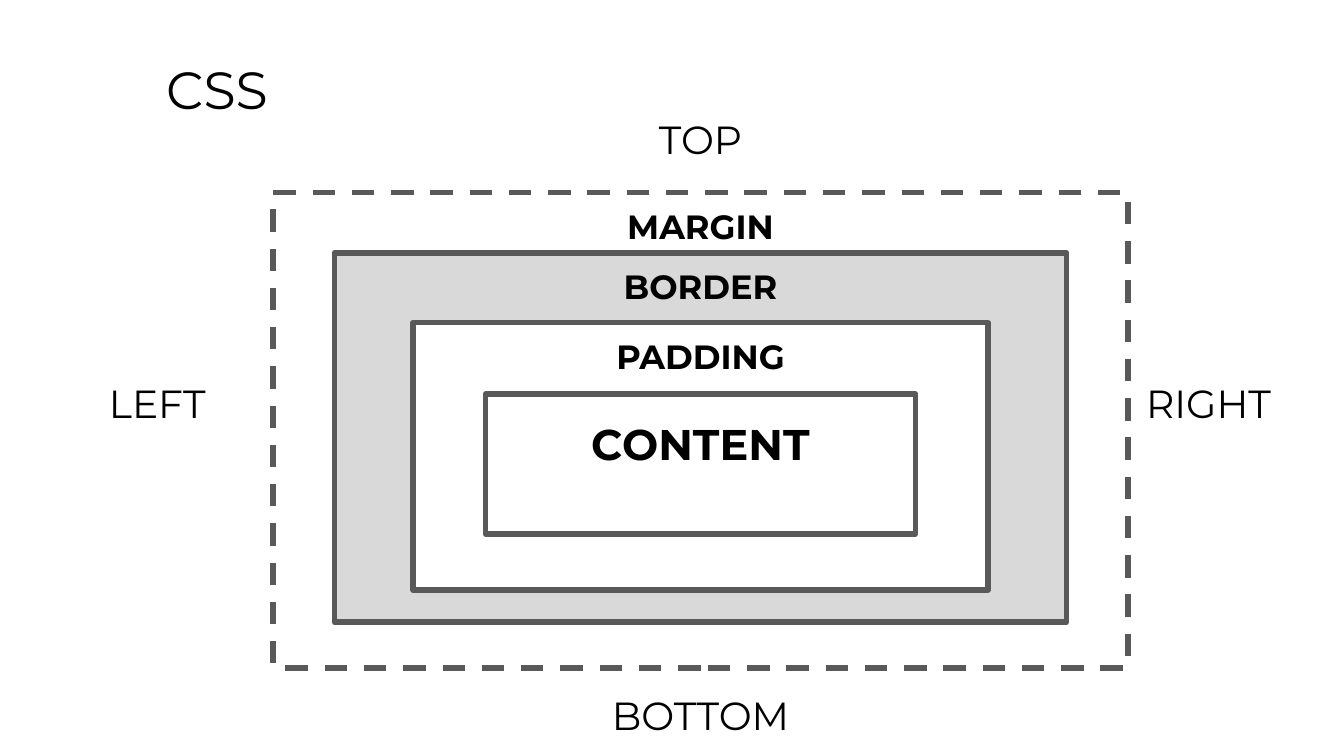
from pptx import Presentation
from pptx.dml.color import RGBColor
from pptx.enum.dml import MSO_LINE
from pptx.enum.shapes import MSO_SHAPE
from pptx.enum.text import MSO_ANCHOR, MSO_AUTO_SIZE, PP_ALIGN
from pptx.util import Cm, Pt

FONT = "Montserrat"
INSET = 0.25
CENTER_X = 13.24
LABEL_HEIGHT = 1.42
TITLE = "CSS"

# name, top, width, height, fill, size, dashed, anchor, bottom inset
BOXES = [
    ("MARGIN", 3.64, 16.15, 8.99, None, 18, True, MSO_ANCHOR.TOP, INSET),
    ("BORDER", 4.78, 13.84, 6.98, "D9D9D9", 18, False, MSO_ANCHOR.TOP, INSET),
    ("PADDING", 6.1, 10.87, 5.05, "FFFFFF", 18, False, MSO_ANCHOR.TOP, INSET),
    ("CONTENT", 7.45, 8.13, 2.64, "FFFFFF", 23, False, MSO_ANCHOR.MIDDLE, 1.03),
]
LABELS = [
    ("LEFT", 1.81, 6.92, 3.53, PP_ALIGN.LEFT),
    ("TOP", CENTER_X - 3.53 / 2, 1.93, 3.53, PP_ALIGN.CENTER),
    ("RIGHT", 21.41, 6.92, 3.53, PP_ALIGN.LEFT),
    ("BOTTOM", CENTER_X - 5.18 / 2, 12.81, 5.18, PP_ALIGN.CENTER),
]


def color(value):
    return RGBColor.from_string(value)


def write(sp, text, size, align, bold=False, anchor=MSO_ANCHOR.TOP, bottom=INSET):
    tf = sp.text_frame
    tf.word_wrap = True
    tf.auto_size = MSO_AUTO_SIZE.NONE
    tf.vertical_anchor = anchor
    tf.margin_left = tf.margin_right = tf.margin_top = Cm(INSET)
    tf.margin_bottom = Cm(bottom)
    p = tf.paragraphs[0]
    p.alignment = align
    r = p.add_run()
    r.text = text
    r.font.name = FONT
    r.font.size = Pt(size)
    r.font.bold = bold
    r.font.color.rgb = color("000000")


def add_title(s):
    sp = s.shapes.title
    sp.left, sp.top, sp.width, sp.height = Cm(2.89), Cm(0.83), Cm(21.64), Cm(1.6)
    write(sp, TITLE, 28, PP_ALIGN.LEFT)


def add_box(s, text, top, width, height, fill, size, dashed, anchor, bottom):
    sp = s.shapes.add_shape(MSO_SHAPE.RECTANGLE, Cm(CENTER_X - width / 2),
                            Cm(top), Cm(width), Cm(height))
    sp.shadow.inherit = False
    if fill:
        sp.fill.solid()
        sp.fill.fore_color.rgb = color(fill)
    else:
        sp.fill.background()
    sp.line.color.rgb = color("595959")
    sp.line.width = Pt(3)
    if dashed:
        sp.line.dash_style = MSO_LINE.DASH
    write(sp, text, size, PP_ALIGN.CENTER, True, anchor, bottom)


def add_label(s, text, left, top, width, align):
    sp = s.shapes.add_textbox(Cm(left), Cm(top), Cm(width), Cm(LABEL_HEIGHT))
    write(sp, text, 21, align)


def remove_off_slide(shapes, slide_height):
    for sp in list(shapes):
        if sp.top is not None and sp.top + sp.height > slide_height:
            sp.element.getparent().remove(sp.element)


def main():
    prs = Presentation()
    prs.slide_width, prs.slide_height = Cm(25.4), Cm(14.29)
    layout = prs.slide_layouts[5]
    for shapes in (layout.placeholders, prs.slide_master.placeholders):
        remove_off_slide(shapes, prs.slide_height)
    s = prs.slides.add_slide(layout)
    add_title(s)
    for box in BOXES:
        add_box(s, *box)
    for label in LABELS:
        add_label(s, *label)
    prs.save("out.pptx")


if __name__ == "__main__":
    main()
